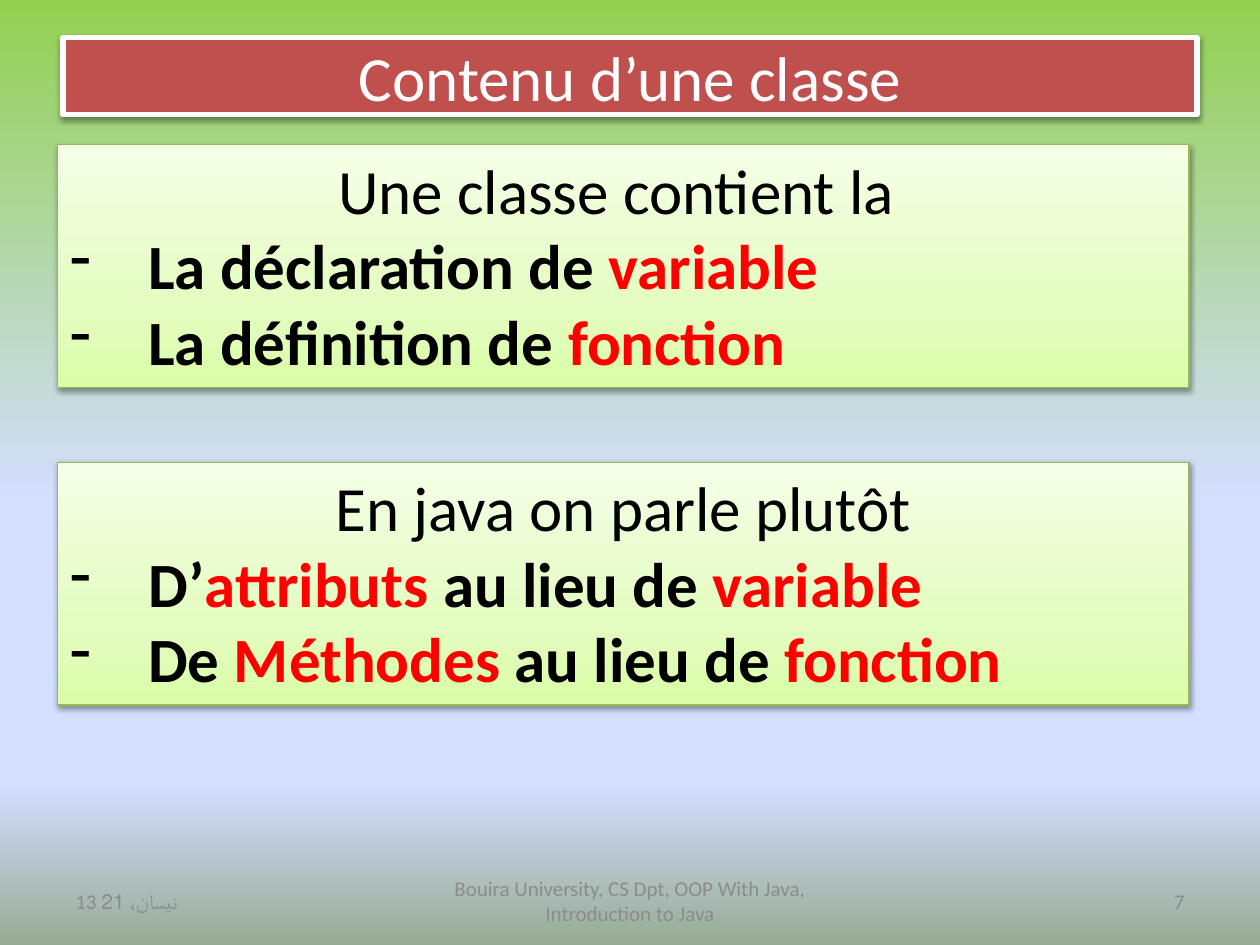
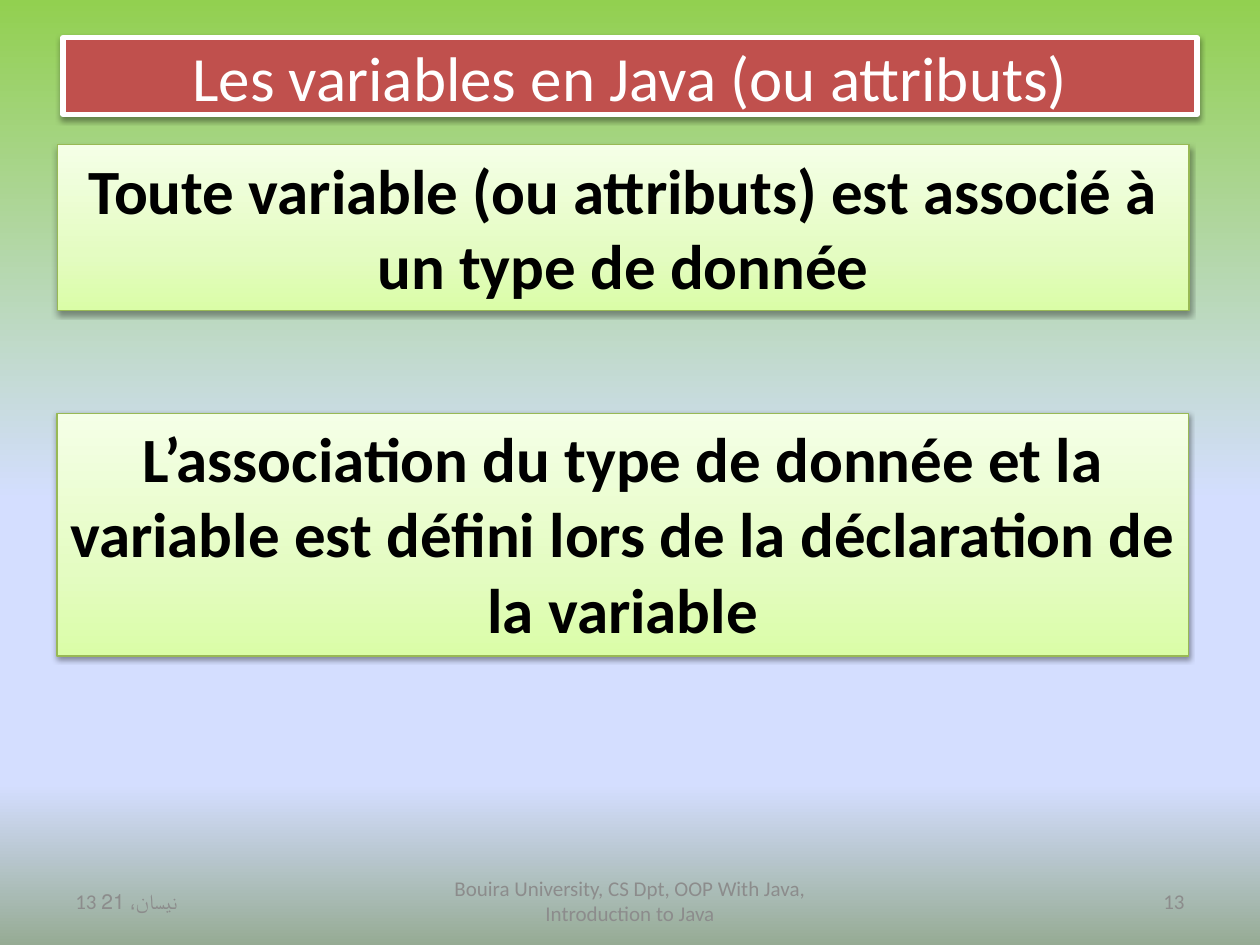
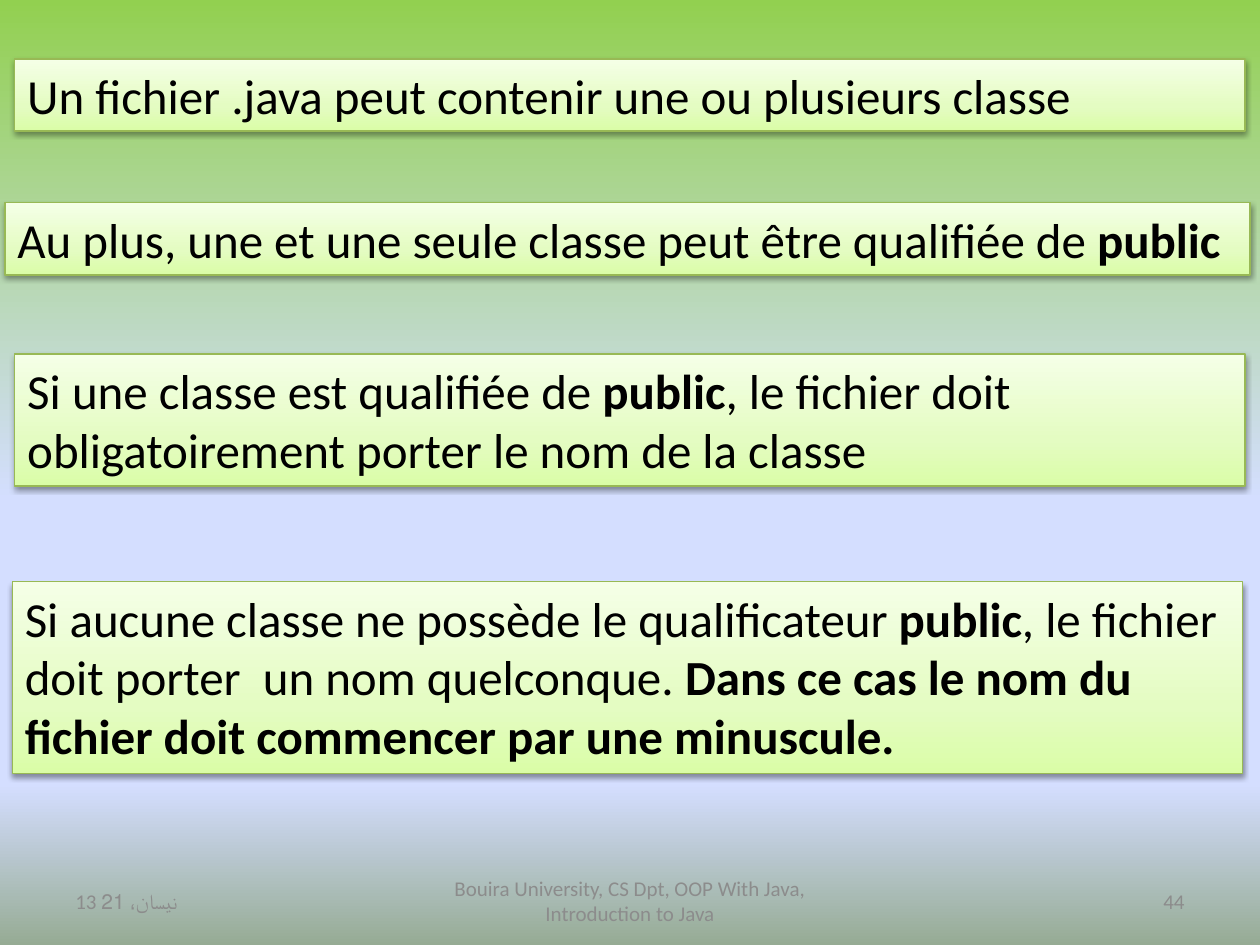
from lxml import etree
from pptx import Presentation
from pptx.dml.color import RGBColor
from pptx.enum import shapes, text
from pptx.oxml.ns import qn
from pptx.util import Cm, Pt

FONT = "Calibri"
BLACK, WHITE, RED, GREY = "000000", "FFFFFF", "FF0000", "8C8C8C"
BRICK, OLIVE = "C0504D", "98B955"
SKY = [(0, "92D050"), (53, "D4DEFF"), (83, "D4DEFF"), (100, "96AB94")]
LIME = [(0, "DAFDA7"), (35, "E4FCC2"), (100, "F5FFE7")]
PLAIN, BOLD, KEY = (False, BLACK), (True, BLACK), (True, RED)
LEFT, MID, RIGHT = text.PP_ALIGN.LEFT, text.PP_ALIGN.CENTER, text.PP_ALIGN.RIGHT
DATE = "13 نيسان، 21"
COURSE = "Bouira University, CS Dpt, OOP With Java, Introduction to Java"


def rgb(code):
    return RGBColor.from_string(code)


def sub(node, tag, **attrs):
    return etree.SubElement(node, qn(tag), attrs)


def grade(fill, node, stops, angle):
    """Give fill, whose XML lies under node, a gradient with any number of stops."""
    fill.gradient()
    fill.gradient_angle = angle
    group = next(node.iter(qn("a:gsLst")))
    for old in list(group):
        group.remove(old)
    for place, code in stops:
        sub(sub(group, "a:gs", pos=str(place * 1000)), "a:srgbClr", val=code)


def shade(shape):
    """Add the soft shadow under a panel."""
    shape.shadow.inherit = False
    effects = shape._element.spPr.find(qn("a:effectLst"))
    outer = sub(effects, "a:outerShdw", blurRad="40000", dist="20000",
                dir="5400000", rotWithShape="0")
    sub(sub(outer, "a:srgbClr", val=BLACK), "a:alpha", val="38000")


def write(para, words, size, style=PLAIN):
    run = para.add_run()
    run.text = words
    font = run.font
    font.name, font.size = FONT, Pt(size)
    font.bold, font.color.rgb = style[0], rgb(style[1])


def dash(para):
    """Turn a paragraph into a dashed list item."""
    props = para._p.get_or_add_pPr()
    indent = Cm(1.58)
    props.set("marL", str(indent))
    props.set("indent", str(-indent))
    sub(props, "a:buFontTx")
    sub(props, "a:buChar", char="-")


def panel(slide, left, top, width, height, line, weight):
    shape = slide.shapes.add_shape(shapes.MSO_SHAPE.RECTANGLE,
                                   Cm(left), Cm(top), Cm(width), Cm(height))
    shape.line.color.rgb = rgb(line)
    shape.line.width = Pt(weight)
    shade(shape)
    shape.text_frame.word_wrap = True
    return shape


def head(slide, words):
    shape = panel(slide, 1.27, 0.76, 22.86, 1.55, WHITE, 3)
    shape.fill.solid()
    shape.fill.fore_color.rgb = rgb(BRICK)
    frame = shape.text_frame
    frame.vertical_anchor = text.MSO_ANCHOR.MIDDLE
    para = frame.paragraphs[0]
    para.alignment = MID
    write(para, words, 36, (False, WHITE))


def card(slide, left, top, width, rows, lead, items=(), size=36, align=MID):
    """Draw a lime box, rows text lines high: a lead paragraph, then dashed items."""
    shape = panel(slide, left, top, width, 0.25 + rows * size * 0.043, OLIVE, 0.75)
    grade(shape.fill, shape._element.spPr, LIME, 90)
    frame = shape.text_frame
    frame.auto_size = text.MSO_AUTO_SIZE.SHAPE_TO_FIT_TEXT
    frame.vertical_anchor = text.MSO_ANCHOR.TOP
    for i, runs in enumerate([lead, *items]):
        para = frame.add_paragraph() if i else frame.paragraphs[0]
        para.alignment = LEFT if i else align
        if i:
            dash(para)
        for words, style in runs:
            write(para, words, size, style)


def note(slide, left, width, words, align):
    frame = slide.shapes.add_textbox(Cm(left), Cm(17.65), Cm(width), Cm(1.02)).text_frame
    frame.word_wrap = True
    frame.vertical_anchor = text.MSO_ANCHOR.MIDDLE
    para = frame.paragraphs[0]
    para.alignment = align
    write(para, words, 12, (False, GREY))


def page(deck, number, title=None):
    """Add a slide with the shared backdrop, footers and, if given, a title."""
    slide = deck.slides.add_slide(deck.slide_layouts[6])
    grade(slide.background.fill, slide._element, SKY, 270)
    if title:
        head(slide, title)
    note(slide, 1.27, 5.93, DATE, LEFT)
    note(slide, 8.68, 8.04, COURSE, MID)
    note(slide, 18.2, 5.93, str(number), RIGHT)
    return slide


def main():
    deck = Presentation()
    deck.slide_width, deck.slide_height = Cm(25.4), Cm(19.05)

    slide = page(deck, 7, "Contenu d’une classe")
    card(slide, 1.16, 2.92, 22.81, 3, [("Une classe contient la ", PLAIN)], [
        [("La déclaration de ", BOLD), ("variable", KEY)],
        [("La définition de ", BOLD), ("fonction", KEY)],
    ])
    card(slide, 1.16, 9.32, 22.81, 3, [("En java on parle plutôt", PLAIN)], [
        [("D’", BOLD), ("attributs", KEY), (" au lieu de ", BOLD), ("variable", KEY)],
        [("De ", BOLD), ("Méthodes", KEY), (" au lieu de ", BOLD), ("fonction", KEY)],
    ])

    slide = page(deck, 13, "Les variables en Java (ou attributs)")
    card(slide, 1.16, 2.92, 22.81, 2,
         [("Toute variable (ou attributs) est associé à un type de donnée", BOLD)])
    card(slide, 1.15, 8.33, 22.81, 3,
         [("L’association du type de donnée et la variable est défini "
           "lors de la déclaration de la variable", BOLD)])

    slide = page(deck, 44)
    rules = [
        (0.3, 1.19, 24.8, 1,
         [("Un fichier .java peut contenir une ou plusieurs classe", PLAIN)]),
        (0.1, 4.09, 25.1, 1,
         [("Au plus, une et une seule classe peut être qualifiée de ", PLAIN),
          ("public", BOLD)]),
        (0.3, 7.14, 24.8, 2,
         [("Si une classe est qualifiée de ", PLAIN), ("public", BOLD),
          (", le fichier doit obligatoirement porter le nom de la classe", PLAIN)]),
        (0.25, 11.73, 24.8, 3,
         [("Si aucune classe ne possède le qualificateur ", PLAIN), ("public", BOLD),
          (", le fichier doit porter  un nom quelconque. ", PLAIN),
          ("Dans ce cas le nom du fichier doit commencer par une minuscule.", BOLD)]),
    ]
    for rule in rules:
        card(slide, *rule, size=28, align=LEFT)

    deck.save("out.pptx")


if __name__ == "__main__":
    main()
